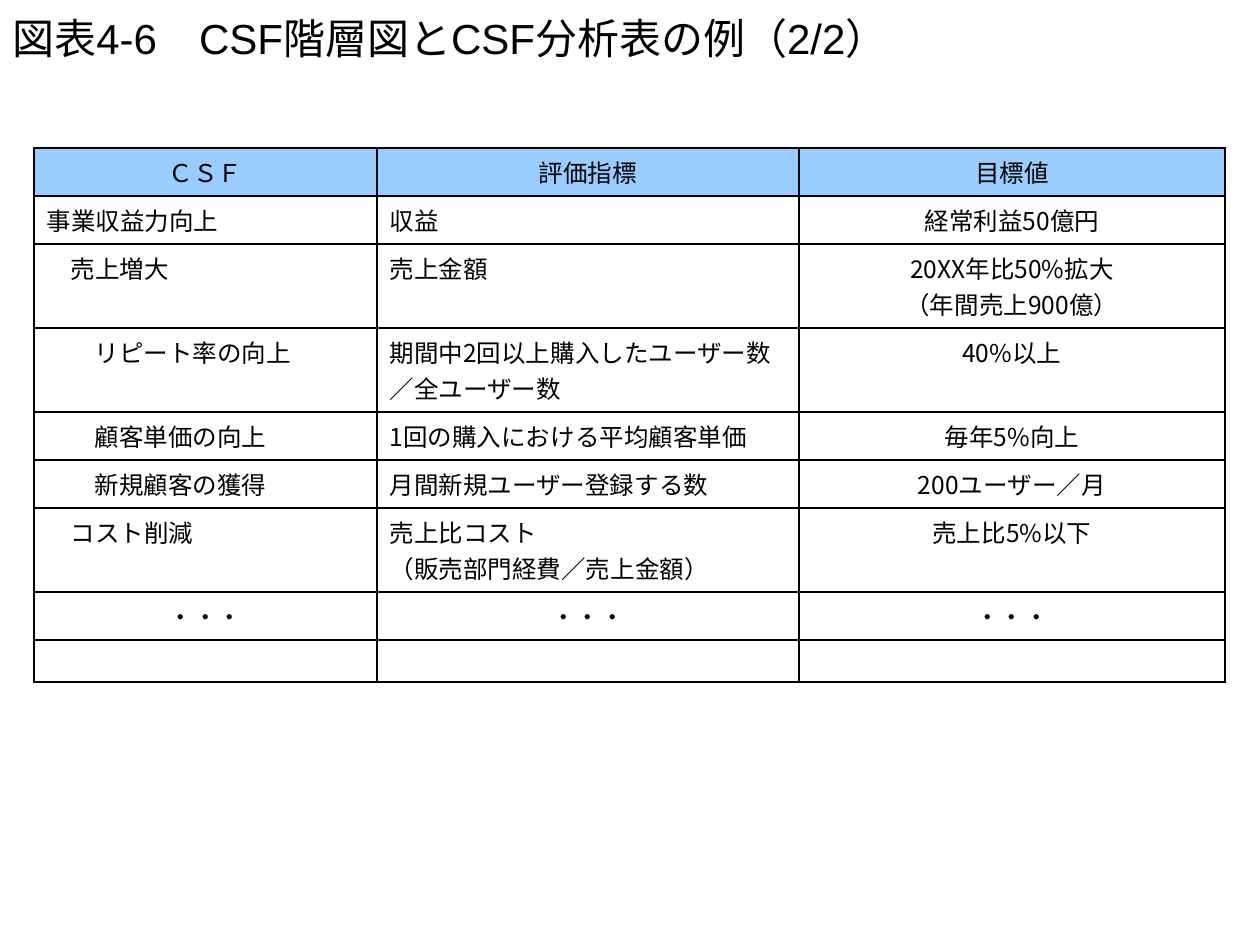
from dataclasses import dataclass
from lxml.etree import SubElement as Sub
from pptx import Presentation as Deck
from pptx.dml.color import RGBColor as Rgb
from pptx.enum.text import MSO_ANCHOR as Anchor, PP_ALIGN as Align
from pptx.oxml.ns import qn
from pptx.util import Pt


@dataclass(frozen=True)
class Theme:
    ink: str = "000000"
    head: str = "99CCFF"
    title: int = 24
    body: int = 14
    line: int = 1
    latin: str = "Arial"
    asian: str = "Noto Sans CJK JP"
    dots: str = "Times New Roman"
    step: int = 24


def px(n):
    return round(n * 914400 / 126)


def put(item, **vals):
    for key, val in vals.items():
        setattr(item, key, val)


class Sheet:
    def __init__(self, theme, wide, high):
        self.theme = theme
        self.deck = Deck()
        put(self.deck, slide_width=px(wide), slide_height=px(high))
        self.slide = self.deck.slides.add_slide(self.deck.slide_layouts[6])

    def text(self, para, words, size, face, align=Align.LEFT):
        para.alignment = align
        run = para.add_run()
        run.text = words
        put(run.font, size=Pt(size), name=face)
        run.font.color.rgb = Rgb.from_string(self.theme.ink)
        Sub(run.font._element, qn("a:ea"), typeface=self.theme.asian)

    def title(self, words, x, y, w, h):
        frame = self.slide.shapes.add_textbox(px(x), px(y), px(w), px(h)).text_frame
        put(frame, word_wrap=True, vertical_anchor=Anchor.MIDDLE)
        self.text(frame.paragraphs[0], words, self.theme.title, self.theme.latin)

    def edge(self, cell):
        props = cell._tc.get_or_add_tcPr()
        for side in ("lnL", "lnR", "lnT", "lnB"):
            line = Sub(props, qn("a:" + side), w=str(Pt(self.theme.line)))
            fill = Sub(line, qn("a:solidFill"))
            Sub(fill, qn("a:srgbClr"), val=self.theme.ink)

    def cell(self, cell, words, mid, level, head):
        theme = self.theme
        self.edge(cell)
        if head:
            cell.fill.solid()
            cell.fill.fore_color.rgb = Rgb.from_string(theme.head)
            cell.vertical_anchor = Anchor.MIDDLE
        else:
            cell.fill.background()
        frame = cell.text_frame
        if not words:
            Sub(frame.paragraphs[0]._p, qn("a:endParaRPr"), sz=str(theme.body * 100))
            return
        face = theme.dots if words == DOTS else theme.asian
        for i, part in enumerate(words.split("\n")):
            para = frame.add_paragraph() if i else frame.paragraphs[0]
            self.text(para, part, theme.body, face, Align.CENTER if mid else Align.LEFT)
            if level:
                para._p.get_or_add_pPr().set("marL", str(px(level * theme.step)))

    def table(self, rows, x, y, cols, highs):
        shape = self.slide.shapes.add_table(
            len(rows), len(cols), px(x), px(y), px(sum(cols)), px(sum(highs)))
        grid = shape.table
        put(grid, first_row=False, horz_banding=False)
        for col, wide in zip(grid.columns, cols):
            col.width = px(wide)
        for r, ((level, *texts), high) in enumerate(zip(rows, highs)):
            grid.rows[r].height = px(high)
            for c, words in enumerate(texts):
                mid = r == 0 or c == 2 or words == DOTS
                self.cell(grid.cell(r, c), words, mid, 0 if c else level, r == 0)


DOTS = "・・・"
ROWS = [
    (0, "ＣＳＦ", "評価指標", "目標値"),
    (0, "事業収益力向上", "収益", "経常利益50億円"),
    (1, "売上増大", "売上金額", "20XX年比50%拡大\n（年間売上900億）"),
    (2, "リピート率の向上", "期間中2回以上購入したユーザー数／全ユーザー数", "40%以上"),
    (2, "顧客単価の向上", "1回の購入における平均顧客単価", "毎年5%向上"),
    (2, "新規顧客の獲得", "月間新規ユーザー登録する数", "200ユーザー／月"),
    (1, "コスト削減", "売上比コスト\n（販売部門経費／売上金額）", "売上比5%以下"),
    (0, DOTS, DOTS, DOTS),
    (0, "", "", ""),
]
ONE, TWO, LAST = 48, 84, 40

sheet = Sheet(Theme(), 1260, 945)
sheet.title("図表4-6　CSF階層図とCSF分析表の例（2/2）", 0, 0, 1260, 76)
sheet.table(ROWS, 34, 148, (343, 422, 426),
            (ONE, ONE, TWO, TWO, ONE, ONE, TWO, ONE, LAST))
sheet.deck.save("out.pptx")
